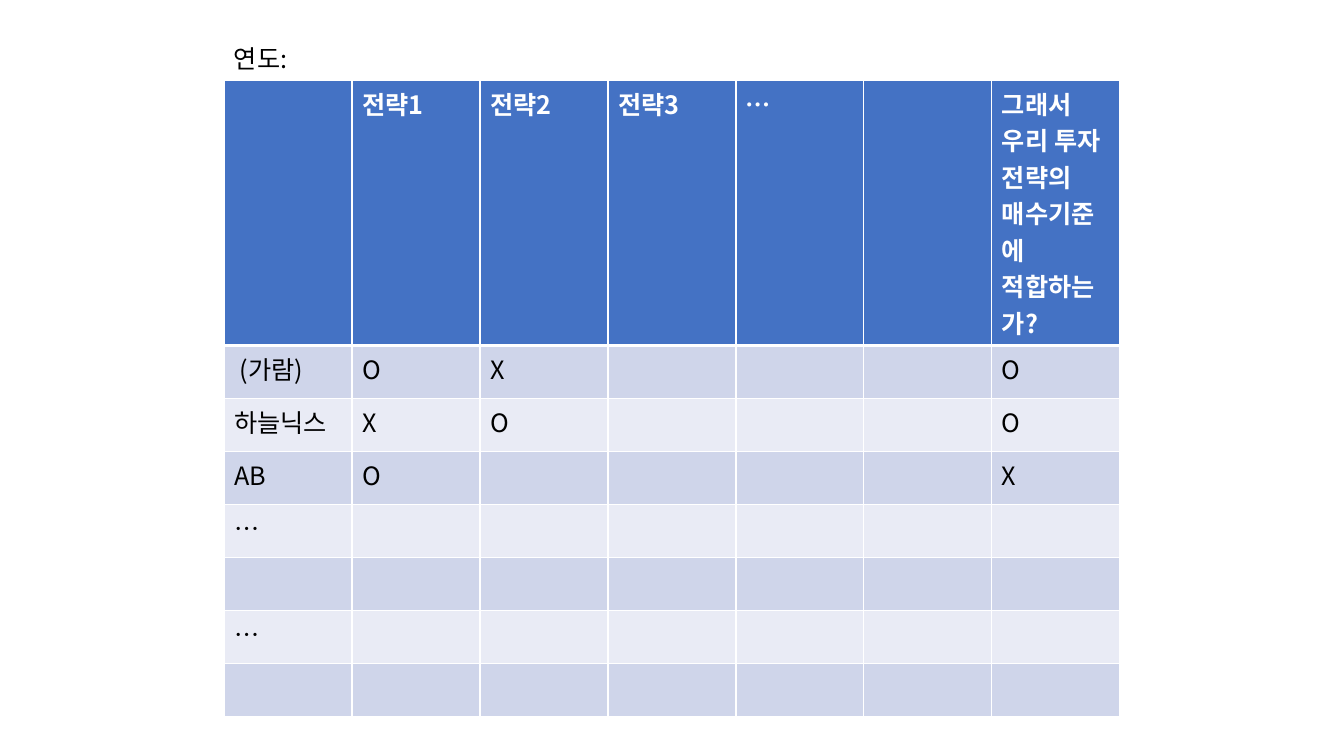
from pptx import Presentation, util as u
from pptx.dml.color import RGBColor
from pptx.enum import text
from pptx.oxml import parse_xml
from pptx.oxml.ns import nsdecls, qn

PX = 914400 / 100.8
FACE = "Noto Sans CJK KR"
HEAD, DARK, LIGHT = "4472C4", "CFD5EA", "E9EBF5"
WHITE, BLACK = "FFFFFF", "000000"
COLS, COL, ROW = 7, 128, 53

ROWS = [
    ["", "전략1", "전략2", "전략3", "…", "",
     "그래서 우리 투자 전략의\n매수기준에 적합하는가?"],
    [" (가람)", "O", "X", "", "", "", "O"],
    ["하늘닉스", "X", "O", "", "", "", "O"],
    ["AB", "O", "", "", "", "", "X"],
    ["…"] + [""] * 6,
    [""] * COLS,
    ["…"] + [""] * 6,
    [""] * COLS,
]


def px(n):
    return u.Emu(round(n * PX))


def color(code):
    return RGBColor.from_string(code)


def write(frame, words, tint, bold=False):
    frame.text = words
    for para in frame.paragraphs:
        font = para.font
        font.name, font.size, font.bold = FACE, u.Pt(18), bold
        font.color.rgb = color(tint)
        # East Asian face for the Korean letters
        props = para._p.pPr.find(qn("a:defRPr"))
        props.append(parse_xml(f'<a:ea {nsdecls("a")} typeface="{FACE}"/>'))
        for run in para.runs:
            run.font.language_id = None
            run.font.bold = bold
            run.font.size = u.Pt(18)
            run.font.name = FACE
            run.font.color.rgb = color(tint)
            run._r.rPr.append(
                parse_xml(f'<a:ea {nsdecls("a")} typeface="{FACE}"/>'))


def edge(cell, side, width):
    line = parse_xml(
        f'<a:ln{side} {nsdecls("a")} w="{u.Pt(width)}"><a:solidFill>'
        f'<a:srgbClr val="{WHITE}"/></a:solidFill></a:ln{side}>')
    props = cell._tc.get_or_add_tcPr()
    props.insert(len(props.findall("*")), line)


def grid(slide, left, top, high):
    frame = slide.shapes.add_table(
        len(ROWS), COLS, px(left), px(top), px(COL * COLS), px(high))
    table = frame.table
    for col in table.columns:
        col.width = px(COL)
    for r, words in enumerate(ROWS):
        table.rows[r].height = px(ROW)
        for c, word in enumerate(words):
            cell = table.cell(r, c)
            # Borders come before the fill in the cell's properties
            for side in "LRTB":
                thick = (r, side) in ((0, "B"), (1, "T"))
                edge(cell, side, 3 if thick else 1)
            cell.fill.solid()
            fill = HEAD if r == 0 else DARK if r % 2 else LIGHT
            cell.fill.fore_color.rgb = color(fill)
            write(cell.text_frame, word, BLACK if r else WHITE, r == 0)
    frame.height = px(high)


def label(slide, words, left, top, wide, high):
    box = slide.shapes.add_textbox(px(left), px(top), px(wide), px(high))
    frame = box.text_frame
    frame.word_wrap = False
    frame.auto_size = text.MSO_AUTO_SIZE.SHAPE_TO_FIT_TEXT
    write(frame, words, BLACK)


def main():
    deck = Presentation()
    deck.slide_width, deck.slide_height = px(1344), px(756)
    slide = deck.slides.add_slide(deck.slide_layouts[6])

    # Strategy table
    grid(slide, 224, 80, 593)

    # Year label
    label(slide, "연도:", 224, 38, 77, 40)

    deck.save("out.pptx")


if __name__ == "__main__":
    main()
